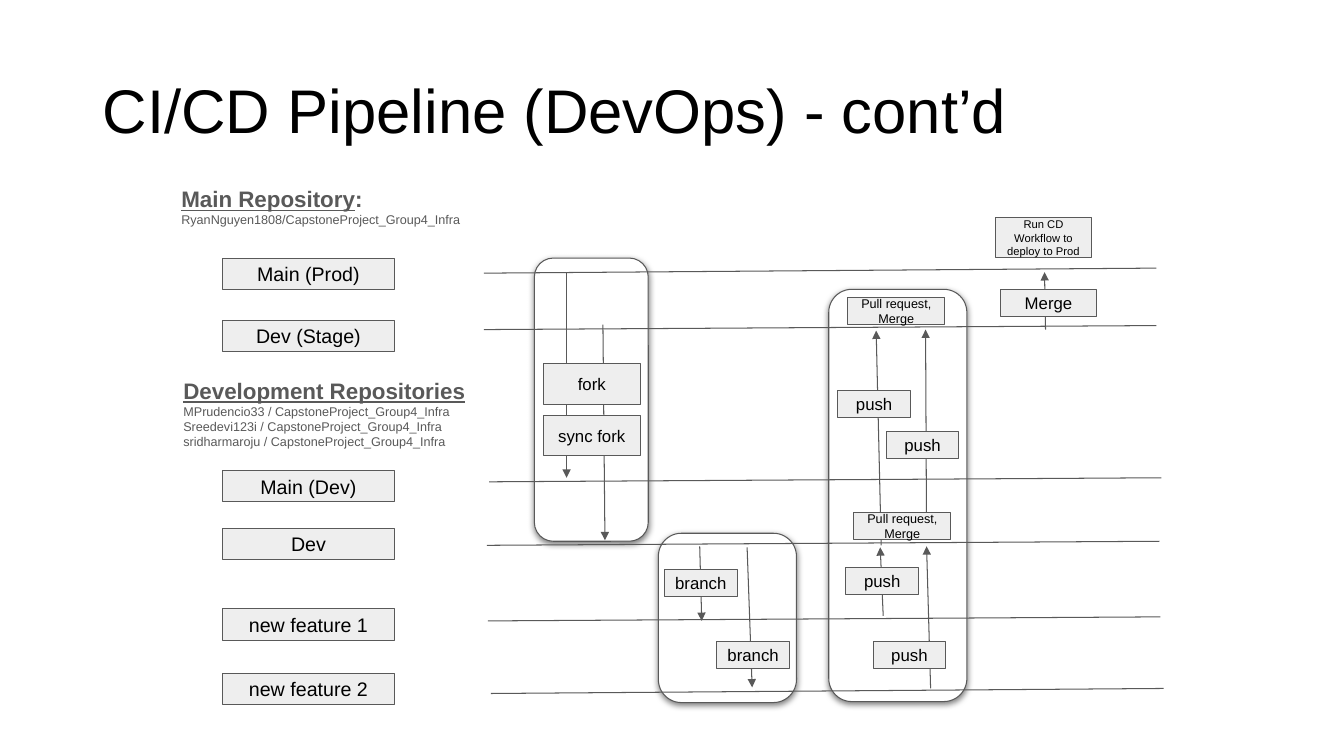
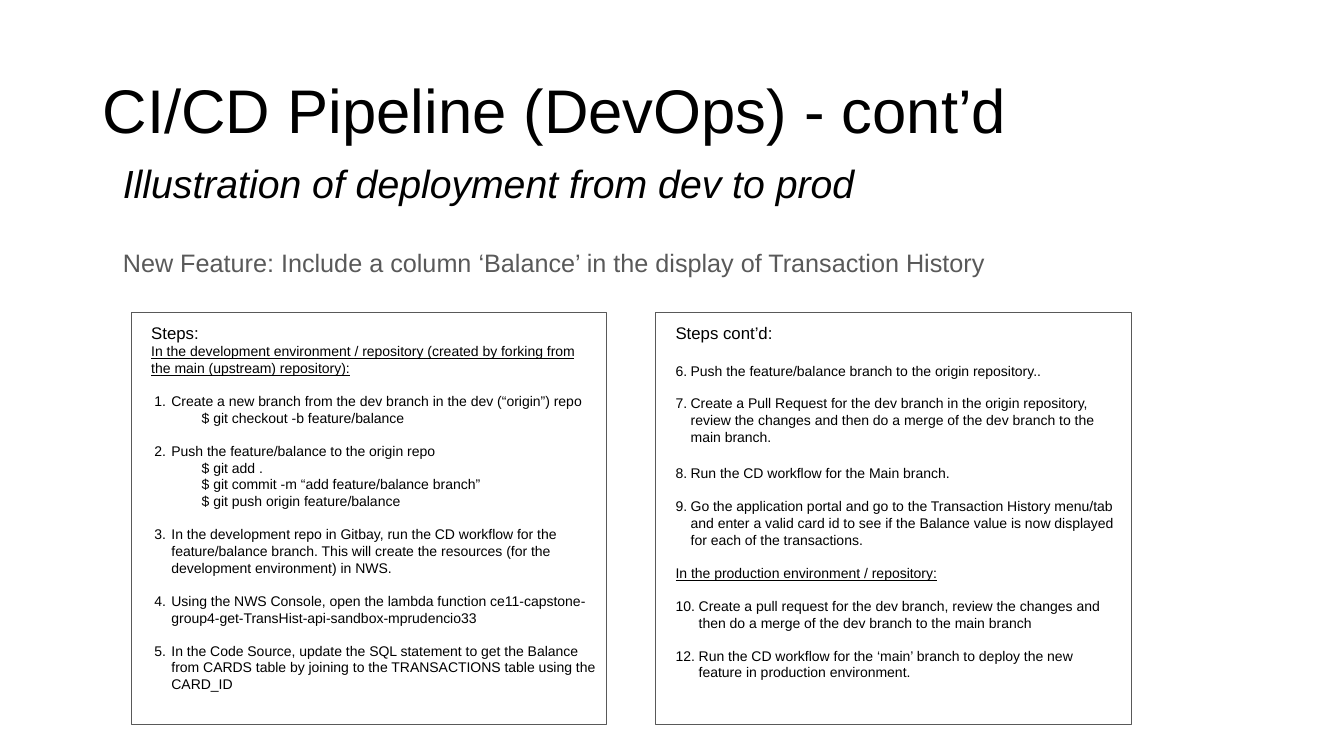
from lxml.etree import SubElement
from pptx import Presentation
from pptx.dml.color import RGBColor
from pptx.enum.shapes import MSO_CONNECTOR as CONN, MSO_SHAPE as SHAPE
from pptx.enum.text import MSO_ANCHOR as ANCHOR, MSO_AUTO_SIZE as AUTO, PP_ALIGN as ALIGN
from pptx.oxml.ns import qn
from pptx.util import Pt

PX = 9144  # 100 px to the inch
BLACK = RGBColor(0x00, 0x00, 0x00)
GREY = RGBColor(0x59, 0x59, 0x59)
LIGHT = RGBColor(0xEE, 0xEE, 0xEE)
WHITE = RGBColor(0xFF, 0xFF, 0xFF)
FONT = "Arial"
LINE = Pt(0.75)
GAP, WIDE_GAP = 11.5, 13.8  # points left free above a step


def write(tf, paras, inset=(10, 10, 10, 10), anchor=ANCHOR.TOP, color=BLACK):
    """Fill a frame with (runs, layout) paragraphs; a run is (text, format)."""
    frame = dict(zip(("margin_left", "margin_top", "margin_right", "margin_bottom"),
                     (n * PX for n in inset)))
    frame.update(word_wrap=True, auto_size=AUTO.NONE, vertical_anchor=anchor)
    for name, value in frame.items():
        setattr(tf, name, value)
    for i, (runs, layout) in enumerate(paras):
        p = tf.paragraphs[0] if i == 0 else tf.add_paragraph()
        p.alignment = layout.get("align", ALIGN.LEFT)
        p.line_spacing = layout.get("spacing", 1.0)
        p.space_before = Pt(layout.get("before", 0))
        p.space_after = Pt(0)
        pPr = p._p.get_or_add_pPr()
        pPr.set("marL", str(layout.get("left", 0) * PX))
        pPr.set("indent", str(-layout.get("hang", 0) * PX))
        if "number" in layout:
            SubElement(pPr, qn("a:buAutoNum"), type="arabicPeriod",
                       startAt=str(layout["number"]))
        else:
            SubElement(pPr, qn("a:buNone"))
        for text, fmt in runs:
            r = p.add_run()
            r.text = text
            r.font.color.rgb = color
            for name, value in {"name": FONT, **fmt}.items():
                setattr(r.font, name, value)


def place(sp, at, fill=None):
    """Position a shape; with a fill, give it the thin grey outline too."""
    sp.left, sp.top, sp.width, sp.height = (n * PX for n in at)
    if fill is not None:
        sp.fill.solid()
        sp.fill.fore_color.rgb = fill
        sp.line.color.rgb = GREY
        sp.line.width = LINE


prs = Presentation()
prs.slide_width, prs.slide_height = 1333 * PX, 750 * PX

# Both slides and their shared title
flow, steps = [prs.slides.add_slide(prs.slide_layouts[i]) for i in (5, 3)]
for s in (flow, steps):
    place(s.shapes.title, (92, 40, 1150, 145))
    write(s.shapes.title.text_frame,
          [([("CI/CD Pipeline (DevOps) - cont’d", {"size": Pt(44)})], {"spacing": 0.9})],
          inset=(10, 5, 10, 5), anchor=ANCHOR.MIDDLE)

# Slide 1: repository headings
HEAD = {"size": Pt(16), "bold": True}
repositories = [
    ((170, 174, 309, 60), "Main Repository", ":",
     ["RyanNguyen1808/CapstoneProject_Group4_Infra"]),
    ((172, 364, 309, 85), "Development Repositories", "",
     [f"{owner} / CapstoneProject_Group4_Infra"
      for owner in ("MPrudencio33", "Sreedevi123i", "sridharmaroju")]),
]
for at, heading, ending, names in repositories:
    sp = flow.shapes.add_textbox(0, 0, 0, 0)
    place(sp, at)
    runs = [(heading, {**HEAD, "underline": True})]
    if ending:
        runs.append((ending, HEAD))
    write(sp.text_frame,
          [(runs, {})] + [([(name, {"size": Pt(9)})], {}) for name in names], color=GREY)

# Slide 1: rounded frames around the stages
for at in [(822, 287, 137, 409), (653, 529, 137, 168), (530, 256, 113, 281)]:
    sp = flow.shapes.add_shape(SHAPE.ROUNDED_RECTANGLE, 0, 0, 0, 0)
    place(sp, at, WHITE)
    sp.shadow.inherit = False
    effects = sp._element.spPr.find(qn("a:effectLst"))
    shadow = SubElement(effects, qn("a:outerShdw"), blurRad=str(Pt(4.5)),
                        dist=str(Pt(1.5)), dir="5400000", algn="t", rotWithShape="0")
    tint = SubElement(shadow, qn("a:srgbClr"), val=str(BLACK))
    SubElement(tint, qn("a:alpha"), val="50000")

# Slide 1: branch lines (label, label top, line left, line start y, line end y) and arrows
branches = [
    ("Main (Prod)", 256, 480, 271, 266),
    ("Dev (Stage)", 318, 480, 327, 323),
    ("Main (Dev)", 467, 485, 478, 474),
    ("Dev", 524, 483, 541, 537),
    ("new feature 1", 604, 484, 616, 612),
    ("new feature 2", 668, 487, 688, 683),
]
arrows = [
    (562, 270, 562, 474), (598, 322, 600, 536),  # fork
    (694, 542, 696, 616), (741, 543, 746, 682),  # branch
    (919, 535, 918, 327), (874, 541, 869, 328),  # push to stage
    (923, 683, 919, 542), (876, 611, 873, 543),  # push to dev
    (1037, 327, 1036, 270),                      # merge to prod
]
lines = [((x, y1, x + 667, y2), False) for _, _, x, y1, y2 in branches]
lines += [(ends, True) for ends in arrows]
for ends, has_head in lines:
    cx = flow.shapes.add_connector(CONN.STRAIGHT, *(n * PX for n in ends))
    cx.line.color.rgb = GREY
    cx.line.width = LINE
    if has_head:
        SubElement(cx.line._get_or_add_ln(), qn("a:tailEnd"), type="triangle")
    SubElement(cx._element.spPr, qn("a:effectLst"))

# Slide 1: labelled boxes (text, left, top, width, height, size)
boxes = [(label, 221, top, 170, 31, 14) for label, top, *_ in branches]
boxes += [(text, 539, top, 96, 40, 12) for text, top in (("fork", 361), ("sync fork", 412))]
boxes += [(text, x, y, 72, 27, 12) for text, x, y in (
    ("branch", 659, 565), ("branch", 711, 636), ("push", 839, 563),
    ("push", 866, 636), ("push", 831, 387), ("push", 879, 428))]
boxes += [("Pull request,\nMerge", x, y, 96, 27, 9) for x, y in ((847, 508), (841, 295))]
boxes += [("Merge", 992, 287, 96, 27, 12),
          ("Run CD Workflow to deploy to Prod", 987, 216, 96, 40, 8)]
for text, *at, size in boxes:
    sp = flow.shapes.add_shape(SHAPE.RECTANGLE, 0, 0, 0, 0)
    place(sp, at, LIGHT)
    sp.shadow.inherit = False
    write(sp.text_frame,
          [([(part, {"size": Pt(size)})], {"align": ALIGN.CENTER})
           for part in text.split("\n")], anchor=ANCHOR.MIDDLE)

# Slide 2: subtitle and feature line
intro = [
    ((112, 153, 932, 63), "Illustration of deployment from dev to prod",
     {"size": Pt(28), "italic": True}, 0.9, BLACK),
    ((112, 238, 932, 50),
     "New Feature: Include a column ‘Balance’ in the display of Transaction History",
     {"size": Pt(18)}, 0.95, GREY),
]
for at, text, fmt, spacing, color in intro:
    sp = steps.shapes.add_textbox(0, 0, 0, 0)
    place(sp, at)
    write(sp.text_frame, [([(text, fmt)], {"spacing": spacing})], color=color)

# Slide 2: two panels of steps
TITLE = {"size": Pt(12)}
BODY = {"size": Pt(10)}
UNDER = {**BODY, "underline": True}
STEP = {"left": 20, "hang": 17, "before": GAP}
SHORT = {"left": 15, "hang": 15, "before": GAP}
LONG = {"left": 23, "hang": 23, "before": GAP}
CODE = {"left": 50}
left_panel = [
    ("Steps:", TITLE, {}),
    ("In the development environment / repository (created by forking from the main "
     "(upstream) repository):", UNDER, {}),
    ("Create a new branch from the dev branch in the dev (“origin”) repo", BODY,
     {**STEP, "number": 1}),
    ("$ git checkout -b feature/balance", BODY, CODE),
    ("Push the feature/balance to the origin repo", BODY, {**STEP, "number": 2}),
    ("$ git add .", BODY, CODE),
    ("$ git commit -m “add feature/balance branch”", BODY, CODE),
    ("$ git push origin feature/balance", BODY, CODE),
    ("In the development repo in Gitbay, run the CD workflow for the feature/balance "
     "branch. This will create the resources (for the development environment) in NWS.",
     BODY, {**STEP, "number": 3}),
    ("Using the NWS Console, open the lambda function "
     "ce11-capstone-group4-get-TransHist-api-sandbox-mprudencio33", BODY,
     {**STEP, "number": 4}),
    ("In the Code Source, update the SQL statement to get the Balance from CARDS table "
     "by joining to the TRANSACTIONS table using the CARD_ID", BODY,
     {**STEP, "number": 5}),
]
right_panel = [
    ("Steps cont’d:", TITLE, {}),
    ("Push the feature/balance branch to the origin repository..", BODY,
     {**SHORT, "number": 6, "before": WIDE_GAP}),
    ("Create a Pull Request for the dev branch in the origin repository, review the "
     "changes and then do a merge of the dev branch to the main branch.", BODY,
     {**SHORT, "number": 7}),
    ("Run the CD workflow for the Main branch.", BODY,
     {**SHORT, "number": 8, "before": WIDE_GAP}),
    ("Go the application portal and go to the Transaction History menu/tab and enter a "
     "valid card id to see if the Balance value is now displayed for each of the "
     "transactions.", BODY, {**SHORT, "number": 9}),
    ("In the production environment / repository:", UNDER, {"before": GAP}),
    ("Create a pull request for the dev branch, review the changes and then do a merge "
     "of the dev branch to the main branch", BODY, {**LONG, "number": 10}),
    ("Run the CD workflow for the ‘main’ branch to deploy the new feature in production "
     "environment.", BODY, {**LONG, "number": 12}),
]
for idx, left, right_inset, panel in ((1, 130, 10, left_panel), (2, 650, 14, right_panel)):
    sp = steps.placeholders[idx]
    place(sp, (left, 310, 472, 409), WHITE)
    write(sp.text_frame, [([(text, fmt)], layout) for text, fmt, layout in panel],
          inset=(20, 10, right_inset, 10))

prs.save("out.pptx")
